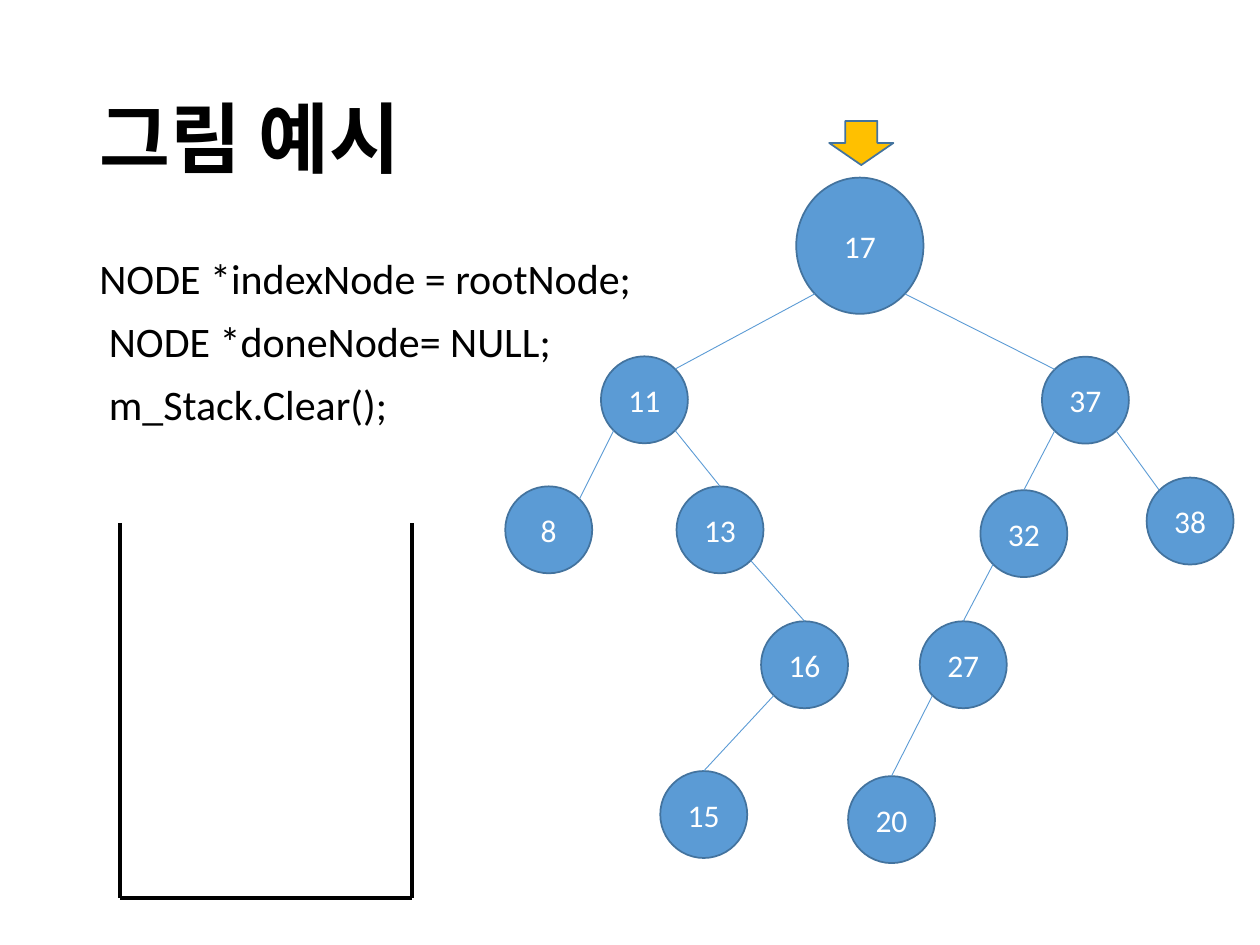
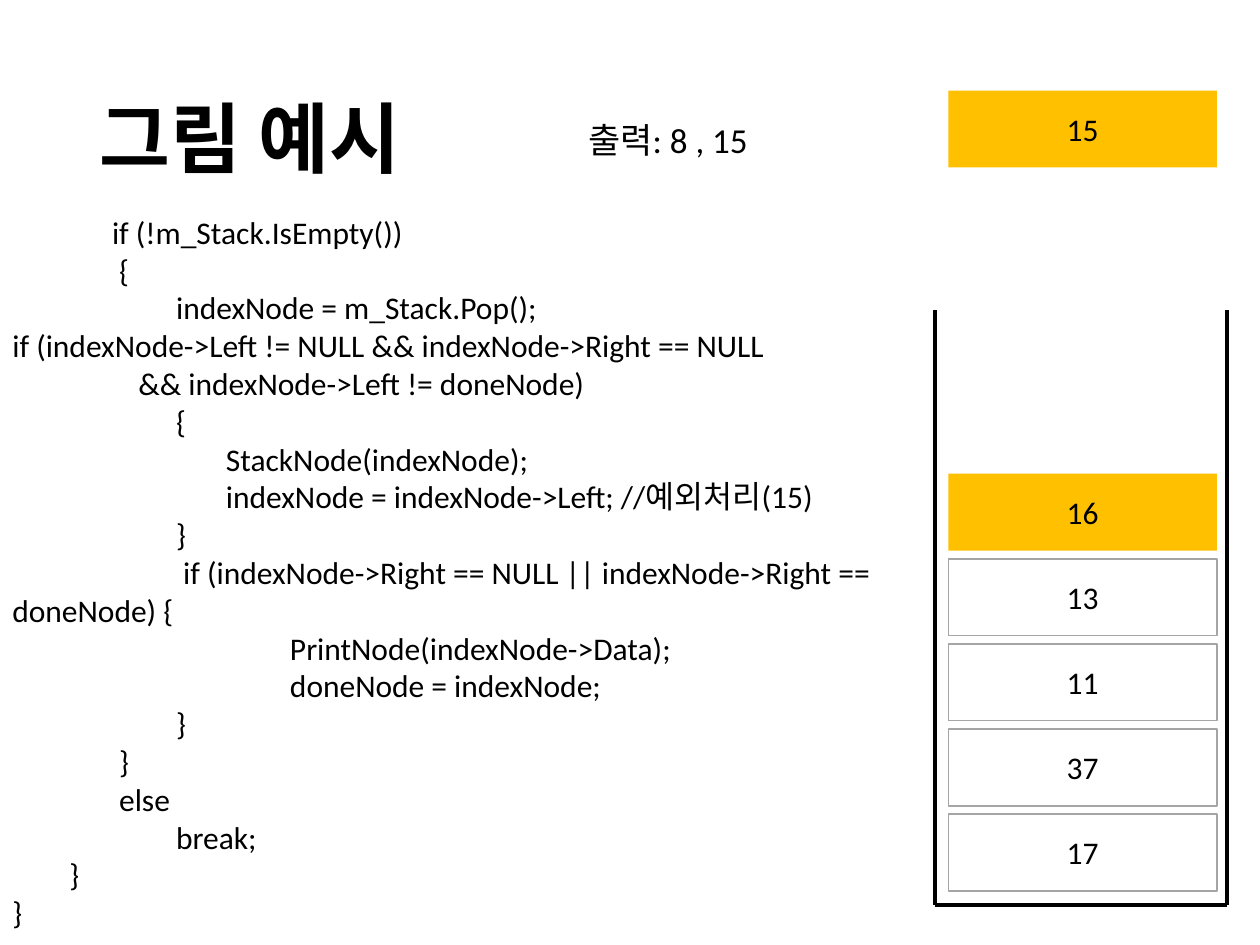
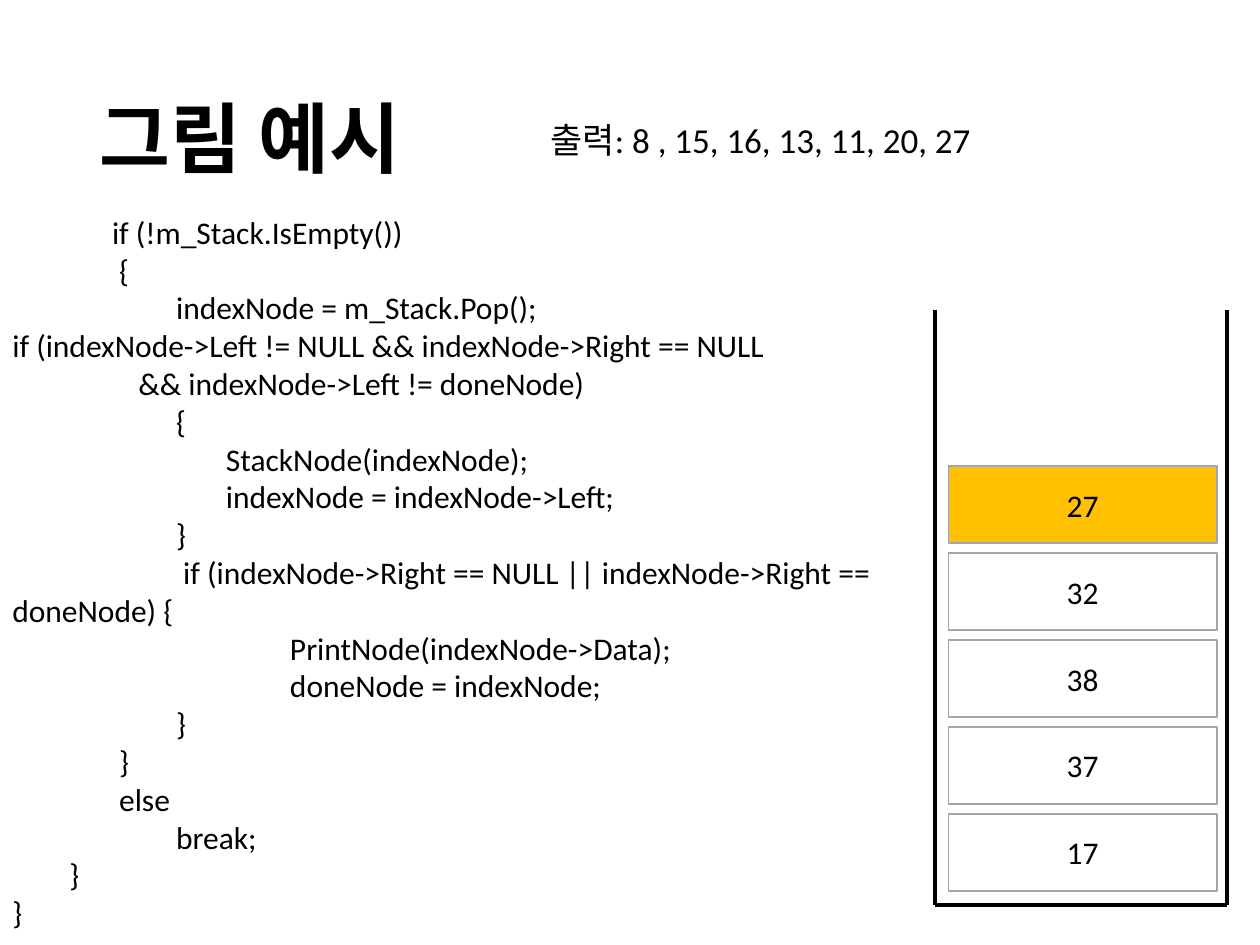
from dataclasses import dataclass
from math import sqrt

from lxml.etree import SubElement
from pptx import Presentation
from pptx.dml.color import RGBColor as RGB
from pptx.enum.shapes import MSO_CONNECTOR, MSO_SHAPE as SHAPE
from pptx.enum.text import MSO_ANCHOR as ANCHOR, MSO_AUTO_SIZE as AUTO_SIZE, PP_ALIGN as ALIGN
from pptx.oxml.ns import qn
from pptx.util import Pt


@dataclass(frozen=True)
class Theme:
    font: str = "Calibri"
    black: RGB = RGB(0, 0, 0)
    white: RGB = RGB(255, 255, 255)
    node: RGB = RGB(0x5B, 0x9B, 0xD5)
    node_edge: RGB = RGB(0x43, 0x73, 0x9E)
    accent: RGB = RGB(0xFF, 0xC0, 0x00)
    cell_edge: RGB = RGB(0xA5, 0xA5, 0xA5)
    title_size: int = 44
    intro_size: int = 24
    output_size: int = 20
    text_size: int = 18
    space_width: float = 0.226  # width of one space, in ems


THEME = Theme()


def write_text(frame, lines, size, color=THEME.black, align=ALIGN.LEFT,
               anchor=ANCHOR.TOP, spacing=None, before=0):
    """Write (indent in spaces, text) lines as paragraphs of one style."""
    frame.word_wrap = True
    frame.auto_size = AUTO_SIZE.NONE
    frame.vertical_anchor = anchor
    frame.text = "\n".join(text for _, text in lines)
    for (columns, _), paragraph in zip(lines, frame.paragraphs):
        paragraph.alignment = align
        paragraph.line_spacing = spacing
        paragraph.space_before = Pt(before)
        if columns:
            indent = Pt(columns * size * THEME.space_width)
            paragraph._p.get_or_add_pPr().set("indent", str(indent))
        for run in paragraph.runs:
            run.font.name = THEME.font
            run.font.size = Pt(size)
            run.font.color.rgb = color


def add_line(slide, start, end, color, width):
    line = slide.shapes.add_connector(
        MSO_CONNECTOR.STRAIGHT, *(Pt(value) for value in (*start, *end)))
    line.line.color.rgb = color
    line.line.width = Pt(width)
    SubElement(line._element.spPr, qn("a:effectLst"))


# Tree: node boxes by value, and edges as parent, side, child, whether it meets the child's top
NODE = 49.7
nodes = {"17": (455, 101.5, 72.7, 77.8)}
for value, left, top in [
    ("11", 343.4, 203.6), ("37", 595.4, 203.8), ("8", 288.7, 277.9), ("13", 386.6, 277.9),
    ("32", 560.2, 280.1), ("38", 655.2, 272.9), ("16", 434.9, 355), ("15", 377.3, 440.6),
    ("27", 525.6, 355), ("20", 484.6, 443.5),
]:
    nodes[value] = (left, top, NODE, NODE)
LEFT, RIGHT = -1, 1
edges = [
    ("17", LEFT, "11", False), ("17", RIGHT, "37", False), ("11", LEFT, "8", False),
    ("11", RIGHT, "13", True), ("13", RIGHT, "16", True), ("16", LEFT, "15", True),
    ("37", LEFT, "32", True), ("37", RIGHT, "38", False), ("32", LEFT, "27", True),
    ("27", LEFT, "20", True),
]
tree_shapes = [(SHAPE.OVAL, box, THEME.node, THEME.node_edge, THEME.white, value)
               for value, box in nodes.items()]
tree_shapes.append((SHAPE.DOWN_ARROW, (473.8, 69.1, 36.7, 25.2),
                    THEME.accent, THEME.node_edge, THEME.white, ""))

# Stack: cells from the bottom up, the top one highlighted
CELL_LEFT, CELL_WIDTH, CELL_HEIGHT, CELL_BOTTOM_TOP = 542, 153.4, 43.9, 465.1
stack_shapes = []
for values, step, top_edge in [
    (["17", "37", "11", "13", "16"], 48.6, None),
    (["17", "37", "38", "32", "27"], 49.7, THEME.cell_edge),
]:
    cells = []
    for level, value in enumerate(values):
        on_top = level == len(values) - 1
        box = (CELL_LEFT, CELL_BOTTOM_TOP - level * step, CELL_WIDTH, CELL_HEIGHT)
        cells.append((SHAPE.RECTANGLE, box, THEME.accent if on_top else THEME.white,
                      top_edge if on_top else THEME.cell_edge, THEME.black, value))
    stack_shapes.append(cells)
popped = (SHAPE.RECTANGLE, (CELL_LEFT, 51.8, CELL_WIDTH, CELL_HEIGHT),
          THEME.accent, None, THEME.black, "15")

intro = [(0, "NODE *indexNode = rootNode;"), (1, "NODE *doneNode= NULL;"), (1, "m_Stack.Clear();")]
code = [
    (14, "if (!m_Stack.IsEmpty())"),
    (15, "{"),
    (23, "indexNode = m_Stack.Pop();"),
    (0, "if (indexNode->Left != NULL && indexNode->Right == NULL"),
    (17.7, "&& indexNode->Left != doneNode)"),
    (23, "{"),
    (30, "StackNode(indexNode);"),
    (30, "indexNode = indexNode->Left;"),
    (23, "}"),
    (24, "if (indexNode->Right == NULL || indexNode->Right == doneNode) {"),
    (39, "PrintNode(indexNode->Data);"),
    (39, "doneNode = indexNode;"),
    (23, "}"),
    (15, "}"),
    (15, "else"),
    (23, "break;"),
    (8, "}"),
    (0, "}"),
]
noted_code = [(columns, text.replace("->Left;", "->Left; //예외처리(15)")) for columns, text in code]

TITLE_TOP, TITLE_HEIGHT = 29, 104.4
CODE_BOX = (0, 118, 521.3, 422)
INTRO_STYLE = dict(size=THEME.intro_size, spacing=0.9, before=10)
OUTPUT_STYLE = dict(size=THEME.output_size, spacing=0.9, anchor=ANCHOR.MIDDLE)
CODE_STYLE = dict(size=THEME.text_size)
STACK_WIDTH = 167
right_stack = (534.2, 177.1, 517)

# Each slide: title width, stack (left, top, bottom), shapes, edges, texts
slides = [
    (620.6, (68.4, 298.8, 513.4), tree_shapes, edges,
     [((49.7, 144, 344.2, 342.7), intro, INTRO_STYLE)]),
    (211, right_stack, stack_shapes[0] + [popped], [],
     [((329, TITLE_TOP, 213, TITLE_HEIGHT), [(0, "출력: 8 , 15")], OUTPUT_STYLE),
      (CODE_BOX, noted_code, CODE_STYLE)]),
    (211, right_stack, stack_shapes[1], [],
     [((307.4, TITLE_TOP, 412, TITLE_HEIGHT),
       [(0, "출력: 8 , 15, 16, 13, 11, 20, 27")], OUTPUT_STYLE),
      (CODE_BOX, code, CODE_STYLE)]),
]

deck = Presentation()
deck.slide_width, deck.slide_height = Pt(720), Pt(540)

for title_width, (left, top, bottom), shapes, tree_edges, texts in slides:
    slide = deck.slides.add_slide(deck.slide_layouts[5])
    title = slide.shapes.title
    title.left, title.top = Pt(49.7), Pt(TITLE_TOP)
    title.width, title.height = Pt(title_width), Pt(TITLE_HEIGHT)
    write_text(title.text_frame, [(0, "그림 예시")], THEME.title_size,
               anchor=ANCHOR.MIDDLE, spacing=0.9)
    title.text_frame.paragraphs[0].runs[0].font.bold = True

    right = left + STACK_WIDTH
    corners = [(left, top), (left, bottom), (right, bottom), (right, top)]
    for start, end in zip(corners, corners[1:]):
        add_line(slide, start, end, THEME.black, 2.25)

    for kind, box, fill, edge, text_color, text in shapes:
        shape = slide.shapes.add_shape(kind, *(Pt(value) for value in box))
        shape.shadow.inherit = False
        shape.fill.solid()
        shape.fill.fore_color.rgb = fill
        if edge is None:
            shape.line.fill.background()
        else:
            shape.line.color.rgb = edge
            shape.line.width = Pt(1)
        if text:
            write_text(shape.text_frame, [(0, text)], THEME.text_size, text_color,
                       ALIGN.CENTER, ANCHOR.MIDDLE)

    for parent, side, child, meets_top in tree_edges:
        x, y, width, height = nodes[parent]
        start = (x + width / 2 * (1 + side / sqrt(2)), y + height / 2 * (1 + 1 / sqrt(2)))
        x, y, width, height = nodes[child]
        end = (x + width / 2, y) if meets_top else (
            x + width / 2 * (1 - side / sqrt(2)), y + height / 2 * (1 - 1 / sqrt(2)))
        add_line(slide, start, end, THEME.node, 0.5)

    for box, lines, style in texts:
        text_box = slide.shapes.add_textbox(*(Pt(value) for value in box))
        write_text(text_box.text_frame, lines, **style)

deck.save("out.pptx")
